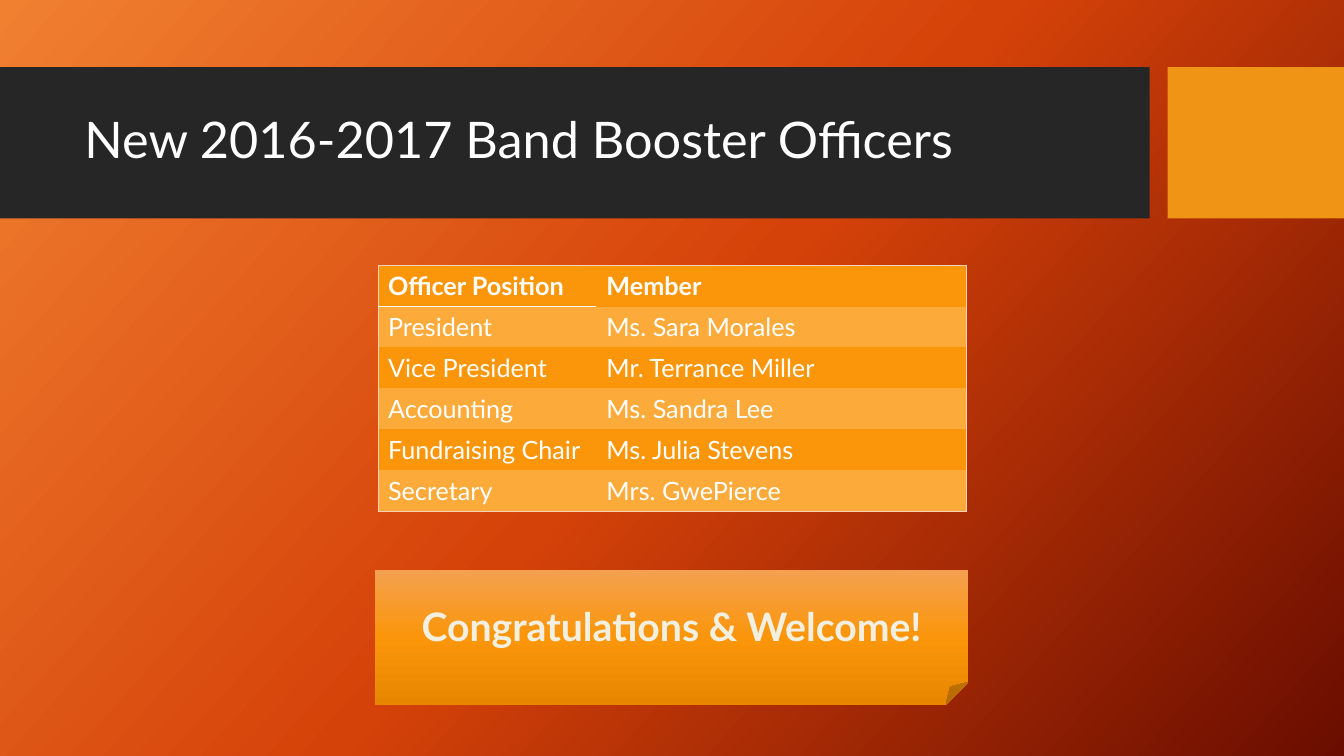
"""Build the slide that announces the new band booster officers."""
from copy import deepcopy

from pptx import Presentation
from pptx.dml.color import RGBColor
from pptx.enum.shapes import MSO_SHAPE as Preset
from pptx.enum.text import MSO_ANCHOR as Anchor, PP_ALIGN as Align
from pptx.oxml import parse_xml
from pptx.oxml.ns import nsdecls, qn
from pptx.util import Pt

EMU_PER_PX = 9525
WHITE, PEACH, ORANGE, LIGHT_ORANGE = "FFFFFF", "F8D2BD", "FB960A", "FCAB3B"
OFFICERS = [
    ("Officer Position", "Member"),
    ("President", "Ms. Sara Morales"),
    ("Vice President", "Mr. Terrance Miller"),
    ("Accounting", "Ms. Sandra Lee"),
    ("Fundraising Chair", "Ms. Julia Stevens"),
    ("Secretary", "Mrs. GwePierce"),
]
COLUMN_WIDTHS = (208, 352)
ROW_HEIGHT = 39


def px(*lengths):
    """Turn pixel lengths into a list of EMU."""
    return [length * EMU_PER_PX for length in lengths]


def rgb(code):
    """Turn a hex string into a colour."""
    return RGBColor.from_string(code)


def fill_solid(fill, code):
    """Fill evenly with one colour."""
    fill.solid()
    fill.fore_color.rgb = rgb(code)


def fill_gradient(fill, element, codes, clockwise):
    """Fill with evenly spaced colours along a clockwise angle."""
    fill.gradient()
    fill.gradient_angle = 360 - clockwise
    stops = element.find(".//" + qn("a:gsLst"))
    while len(stops) < len(codes):
        stops.append(deepcopy(stops[-1]))
    for index, (stop, code) in enumerate(zip(fill.gradient_stops, codes)):
        stop.color.rgb = rgb(code)
        stop.position = index / (len(codes) - 1)


def write(frame, words, size, code=WHITE, bold=False):
    """Write one paragraph of Lato and return it."""
    paragraph = frame.paragraphs[0]
    run = paragraph.add_run()
    run.text = words
    looks = {"name": "Lato", "size": Pt(size), "bold": bold}
    for key, value in looks.items():
        setattr(run.font, key, value)
    run.font.color.rgb = rgb(code)
    return paragraph


def add_block(slide, preset, box):
    """Add a preset shape without line or shadow."""
    block = slide.shapes.add_shape(preset, *px(*box))
    block.shadow.inherit = False
    block.line.fill.background()
    return block


def add_title(slide, box, words):
    """Add the heading, centred vertically in its box."""
    frame = slide.shapes.add_textbox(*px(*box)).text_frame
    frame.word_wrap = True
    frame.vertical_anchor = Anchor.MIDDLE
    write(frame, words, 36).line_spacing = 0.9


def draw_borders(cell, borders):
    """Draw the named cell borders and clear the others."""
    properties = cell._tc.get_or_add_tcPr()
    for side in "LRTB":
        code, points = borders.get(side, (None, 0))
        paint = (f'<a:solidFill><a:srgbClr val="{code}"/></a:solidFill>'
                 if code else "<a:noFill/>")
        properties.append(parse_xml(
            f'<a:ln{side} {nsdecls("a")} w="{Pt(points)}">{paint}</a:ln{side}>'))


def cell_borders(row, column):
    """Give the outer frame and the rule under the first heading."""
    edges = {"L": column == 0, "R": column == len(COLUMN_WIDTHS) - 1,
             "T": row == 0, "B": row == len(OFFICERS) - 1}
    borders = {side: (PEACH, 0.75) for side, outer in edges.items() if outer}
    if (row, column) == (0, 0):
        borders["B"] = (WHITE, 1.5)
    elif (row, column) == (1, 0):
        borders["T"] = (WHITE, 1.5)
    return borders


def add_officers(slide, left, top):
    """Add the banded table of officers."""
    size = (sum(COLUMN_WIDTHS), ROW_HEIGHT * len(OFFICERS))
    table = slide.shapes.add_table(
        len(OFFICERS), len(COLUMN_WIDTHS), *px(left, top, *size)).table
    table.first_row = table.horz_banding = False
    for column, width in zip(table.columns, px(*COLUMN_WIDTHS)):
        column.width = width
    for row, officer in enumerate(OFFICERS):
        table.rows[row].height = px(ROW_HEIGHT)[0]
        for column, words in enumerate(officer):
            cell = table.cell(row, column)
            write(cell.text_frame, words, 18, bold=row == 0)
            draw_borders(cell, cell_borders(row, column))
            fill_solid(cell.fill, LIGHT_ORANGE if row % 2 else ORANGE)


def add_note(slide, box, words):
    """Add the folded note with its greeting."""
    note = add_block(slide, Preset.FOLDED_CORNER, box)
    fill_gradient(note.fill, note.element, ("F4A050", ORANGE, "E88600"), 90)
    note.text_frame.vertical_anchor = Anchor.MIDDLE
    write(note.text_frame, words, 28, "F3F0E1", True).alignment = Align.CENTER


def main():
    """Build and save the slide."""
    deck = Presentation()
    deck.slide_width, deck.slide_height = px(1280, 720)
    slide = deck.slides.add_slide(deck.slide_layouts[6])
    fill_gradient(slide.background.fill, slide.element,
                  ("F18031", "D54209", "6A0D00"), 42)
    for left, width, code in ((0, 1095, "262626"), (1112, 168, "F09415")):
        band = add_block(slide, Preset.RECTANGLE, (left, 64, width, 144))
        fill_solid(band.fill, code)
    add_title(slide, (71, 79, 1009, 113), "New 2016-2017 Band Booster Officers")
    add_officers(slide, 360, 253)
    add_note(slide, (357, 543, 565, 128), "Congratulations & Welcome!")
    deck.save("out.pptx")


if __name__ == "__main__":
    main()
